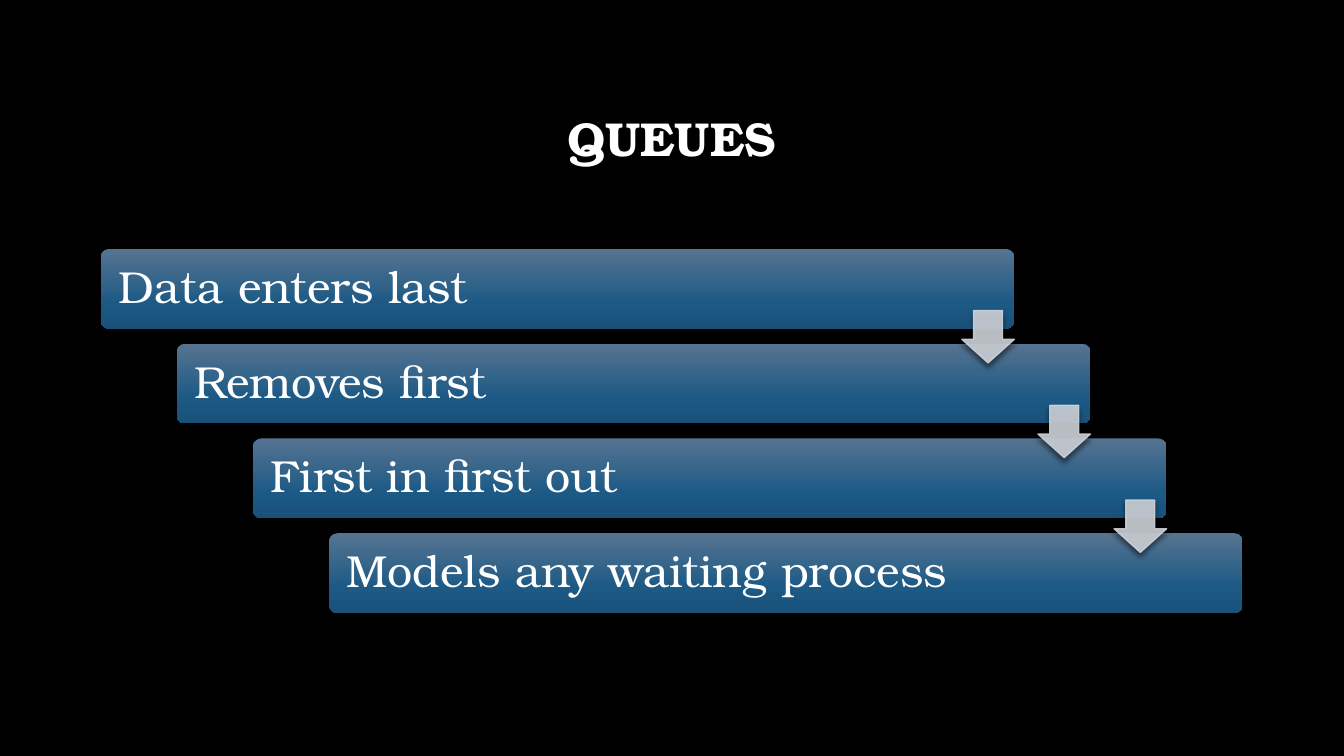
from copy import deepcopy

from lxml.etree import SubElement
from pptx import Presentation
from pptx.dml.color import RGBColor
from pptx.enum.shapes import MSO_SHAPE as Shape
from pptx.enum.text import MSO_ANCHOR as Anchor, PP_ALIGN as Align
from pptx.oxml.ns import qn
from pptx.util import Inches, Pt

BLACK = RGBColor(0x00, 0x00, 0x00)
WHITE = RGBColor(0xFF, 0xFF, 0xFF)
SILVER = RGBColor(0xCD, 0xD2, 0xD8)
BAR_STOPS = [
    (0, RGBColor(0x56, 0x74, 0x91)),
    (0.69, RGBColor(0x1C, 0x59, 0x85)),
    (1, RGBColor(0x19, 0x51, 0x79)),
]
FONT = "TeX Gyre Bonum"

STEPS = ["Data enters last", "Removes first", "First in first out", "Models any waiting process"]
LEFT, TOP = 1, 2.47
COLUMN, ROW = 0.755, 0.94
BAR_WIDTH, BAR_HEIGHT = 9.06, 0.79
ARROW_SIZE = 0.52
ARROW_DROP = 0.61


def format_text(frame, text, size, align, bold=False):
    frame.text = text
    frame.word_wrap = True
    frame.vertical_anchor = Anchor.MIDDLE
    paragraph = frame.paragraphs[0]
    paragraph.alignment = align
    paragraph.line_spacing = 0.9
    font = paragraph.runs[0].font
    font.name, font.size, font.bold = FONT, Pt(size), bold
    font.color.rgb = WHITE


def set_alpha(color, percent):
    SubElement(color, qn("a:alpha"), val=str(percent * 1000))


def add_shadow(shape, blur, percent):
    shape.shadow.inherit = False
    effects = shape._element.spPr.find(qn("a:effectLst"))
    shadow = SubElement(effects, qn("a:outerShdw"), blurRad=str(Pt(blur)),
                        dist=str(Pt(3)), dir="5400000", rotWithShape="0")
    set_alpha(SubElement(shadow, qn("a:srgbClr"), val=str(BLACK)), percent)


def fill_gradient(shape):
    shape.fill.gradient()
    shape.fill.gradient_angle = 270
    stop_list = shape._element.spPr.find(".//" + qn("a:gsLst"))
    stop_list.append(deepcopy(stop_list[-1]))
    for stop, (position, color) in zip(shape.fill.gradient_stops, BAR_STOPS):
        stop.position = position
        stop.color.rgb = color


def add_title(slide, text):
    title = slide.shapes.title
    title.left, title.top = Inches(1), Inches(0.67)
    title.width, title.height = Inches(11.32), Inches(1.45)
    format_text(title.text_frame, text, 34, Align.CENTER, bold=True)


def add_bar(slide, step, text):
    bar = slide.shapes.add_shape(
        Shape.ROUNDED_RECTANGLE, Inches(LEFT + step * COLUMN), Inches(TOP + step * ROW),
        Inches(BAR_WIDTH), Inches(BAR_HEIGHT))
    bar.adjustments[0] = 0.1
    fill_gradient(bar)
    bar.line.fill.background()
    add_shadow(bar, 6, 76)
    frame = bar.text_frame
    frame.margin_left = frame.margin_right = Inches(0.15)
    format_text(frame, text, 32, Align.LEFT)


def add_arrow(slide, step):
    right = LEFT + BAR_WIDTH + step * COLUMN
    arrow = slide.shapes.add_shape(
        Shape.DOWN_ARROW, Inches(right - ARROW_SIZE), Inches(TOP + ARROW_DROP + step * ROW),
        Inches(ARROW_SIZE), Inches(ARROW_SIZE))
    arrow.adjustments[0], arrow.adjustments[1] = 0.55, 0.45
    arrow.fill.solid()
    arrow.fill.fore_color.rgb = SILVER
    arrow.line.color.rgb = SILVER
    arrow.line.width = Pt(1)
    for color in arrow._element.spPr.iter(qn("a:srgbClr")):
        set_alpha(color, 90)
    add_shadow(arrow, 4, 54)


def main():
    deck = Presentation()
    deck.slide_width, deck.slide_height = Inches(13.33), Inches(7.5)
    slide = deck.slides.add_slide(deck.slide_layouts[5])
    slide.background.fill.solid()
    slide.background.fill.fore_color.rgb = BLACK
    add_title(slide, "QUEUES")
    for step, text in enumerate(STEPS):
        add_bar(slide, step, text)
    for step in range(len(STEPS) - 1):
        add_arrow(slide, step)
    deck.save("out.pptx")


if __name__ == "__main__":
    main()
